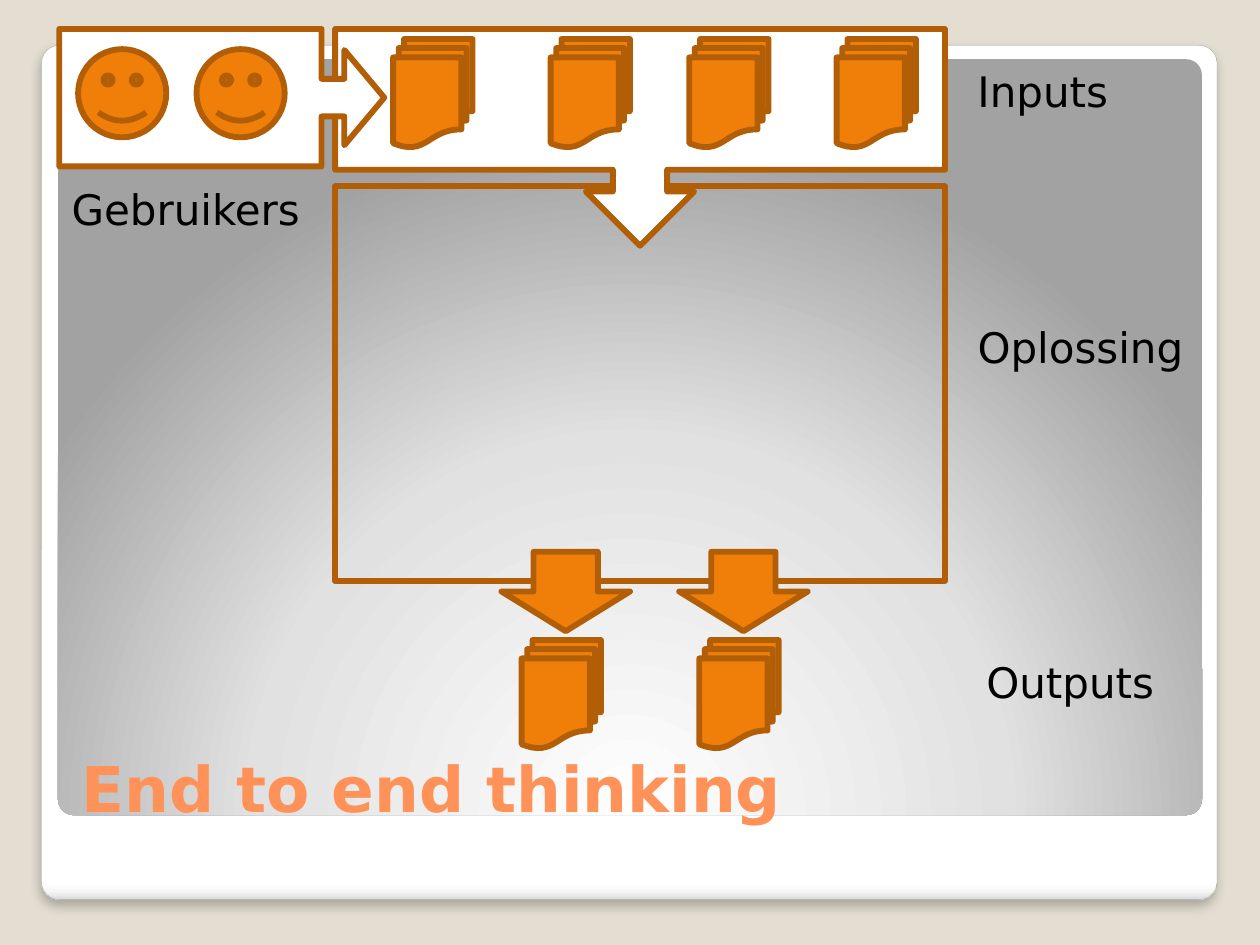
from dataclasses import dataclass
from typing import Optional

import pptx
import pptx.dml.color
import pptx.enum.shapes
import pptx.enum.text
import pptx.oxml
import pptx.oxml.ns
import pptx.util

Inches = pptx.util.Inches
Pt = pptx.util.Pt
RGBColor = pptx.dml.color.RGBColor
Kind = pptx.enum.shapes.MSO_SHAPE
Anchor = pptx.enum.text.MSO_ANCHOR
qn = pptx.oxml.ns.qn

SAND = RGBColor(0xE3, 0xDE, 0xD1)
WHITE = RGBColor(0xFF, 0xFF, 0xFF)
BLACK = RGBColor(0, 0, 0)
ORANGE = RGBColor(0xF0, 0x7F, 0x09)
BROWN = RGBColor(0xB2, 0x5E, 0x07)
CORAL = RGBColor(0xFF, 0x92, 0x58)
GREY = RGBColor(0xA4, 0xA4, 0xA4)
FONT = "DejaVu Sans"
NS = 'xmlns:a="http://schemas.openxmlformats.org/drawingml/2006/main"'
DOWN = '<a:lin ang="5400000" scaled="0"/>'
GLOW = ('<a:path path="circle"><a:fillToRect l="50000" t="175000" '
        'r="50000" b="-75000"/></a:path>')


@dataclass
class Figure:
    kind: Kind
    left: float
    top: float
    width: float
    height: float
    fill: Optional[RGBColor] = ORANGE
    line: Optional[RGBColor] = BROWN
    weight: float = 3.35
    adjust: tuple[float, ...] = ()


@dataclass
class Label:
    text: str
    left: float
    top: float
    width: float
    height: float = 0.5
    size: int = 24
    color: RGBColor = BLACK
    bold: bool = False
    anchor: Anchor = Anchor.TOP


def draw(slide, item: Figure):
    shape = slide.shapes.add_shape(
        item.kind, Inches(item.left), Inches(item.top),
        Inches(item.width), Inches(item.height))
    shape.shadow.inherit = False
    for index, value in enumerate(item.adjust):
        shape.adjustments[index] = value
    if item.fill is None:
        shape.fill.background()
    else:
        shape.fill.solid()
        shape.fill.fore_color.rgb = item.fill
    if item.line is None:
        shape.line.fill.background()
    else:
        shape.line.color.rgb = item.line
        shape.line.width = Pt(item.weight)
    return shape


def blend(shape, stops: list[tuple[int, str]], course: str) -> None:
    marks = "".join(
        f'<a:gs pos="{place * 1000}"><a:srgbClr val="{color}"/></a:gs>'
        for place, color in stops)
    fill = pptx.oxml.parse_xml(
        f'<a:gradFill {NS} rotWithShape="1"><a:gsLst>{marks}</a:gsLst>'
        f'{course}</a:gradFill>')
    props = shape._element.spPr
    props.replace(props.find(qn("a:noFill")), fill)


def shade(shape) -> None:
    shadow = pptx.oxml.parse_xml(
        f'<a:outerShdw {NS} blurRad="{Pt(6)}" dist="{Pt(4)}" dir="5400000" '
        'algn="t" rotWithShape="0"><a:srgbClr val="000000">'
        '<a:alpha val="25000"/></a:srgbClr></a:outerShdw>')
    shape._element.spPr.find(qn("a:effectLst")).append(shadow)


def write(slide, item: Label) -> None:
    box = slide.shapes.add_textbox(
        Inches(item.left), Inches(item.top),
        Inches(item.width), Inches(item.height))
    frame = box.text_frame
    frame.word_wrap = True
    frame.vertical_anchor = item.anchor
    frame.text = item.text
    font = frame.paragraphs[0].runs[0].font
    font.name = FONT
    font.size = Pt(item.size)
    font.bold = item.bold
    font.color.rgb = item.color


def main() -> None:
    deck = pptx.Presentation()
    deck.slide_width = Inches(10)
    deck.slide_height = Inches(7.5)
    slide = deck.slides.add_slide(deck.slide_layouts[6])
    slide.background.fill.solid()
    slide.background.fill.fore_color.rgb = SAND

    card = draw(slide, Figure(Kind.ROUNDED_RECTANGLE, 0.33, 0.36, 9.33, 6.78,
                              None, GREY, 0.16, (0.021,)))
    blend(card, [(0, "FFFFFF"), (98, "FFFFFF"), (99, "F7F7F7"),
                 (100, "DADADA")], DOWN)
    shade(card)
    panel = draw(slide, Figure(Kind.ROUNDED_RECTANGLE, 0.46, 0.47, 9.08, 6,
                               None, None, adjust=(0.021,)))
    blend(panel, [(0, "FFFFFF"), (55, "E1E1E1"), (100, "A2A2A2")], GLOW)

    draw(slide, Figure(Kind.RECTANGLE, 2.66, 1.48, 4.84, 3.13, None))
    draw(slide, Figure(Kind.DOWN_ARROW_CALLOUT, 2.66, 0.23, 4.84, 1.72, WHITE))
    write(slide, Label("End to end thinking", 0.55, 5.45, 8.95, 1.15, 36,
                       CORAL, True, Anchor.BOTTOM))

    inputs = [(left, 0.31) for left in (3.12, 4.37, 5.47, 6.64)]
    outputs = [(left, 5.08) for left in (4.14, 5.55)]
    for left, top in inputs + outputs:
        draw(slide, Figure(Kind.FLOWCHART_MULTIDOCUMENT, left, top, 0.63, 0.86))
    for left in (3.98, 5.39):
        draw(slide, Figure(Kind.DOWN_ARROW, left, 4.38, 1.02, 0.63))

    draw(slide, Figure(Kind.RIGHT_ARROW_CALLOUT, 0.47, 0.23, 2.58, 1.09, WHITE,
                       adjust=(0.274, 0.347, 0.291, 0.807)))
    for left in (0.62, 1.56):
        draw(slide, Figure(Kind.SMILEY_FACE, left, 0.39, 0.7, 0.7))

    for label in (Label("Inputs", 7.66, 0.47, 1.64),
                  Label("Oplossing", 7.66, 2.5, 1.88),
                  Label("Outputs", 7.73, 5.16, 1.64),
                  Label("Gebruikers", 0.47, 1.41, 2.03)):
        write(slide, label)

    deck.save("out.pptx")


if __name__ == "__main__":
    main()
